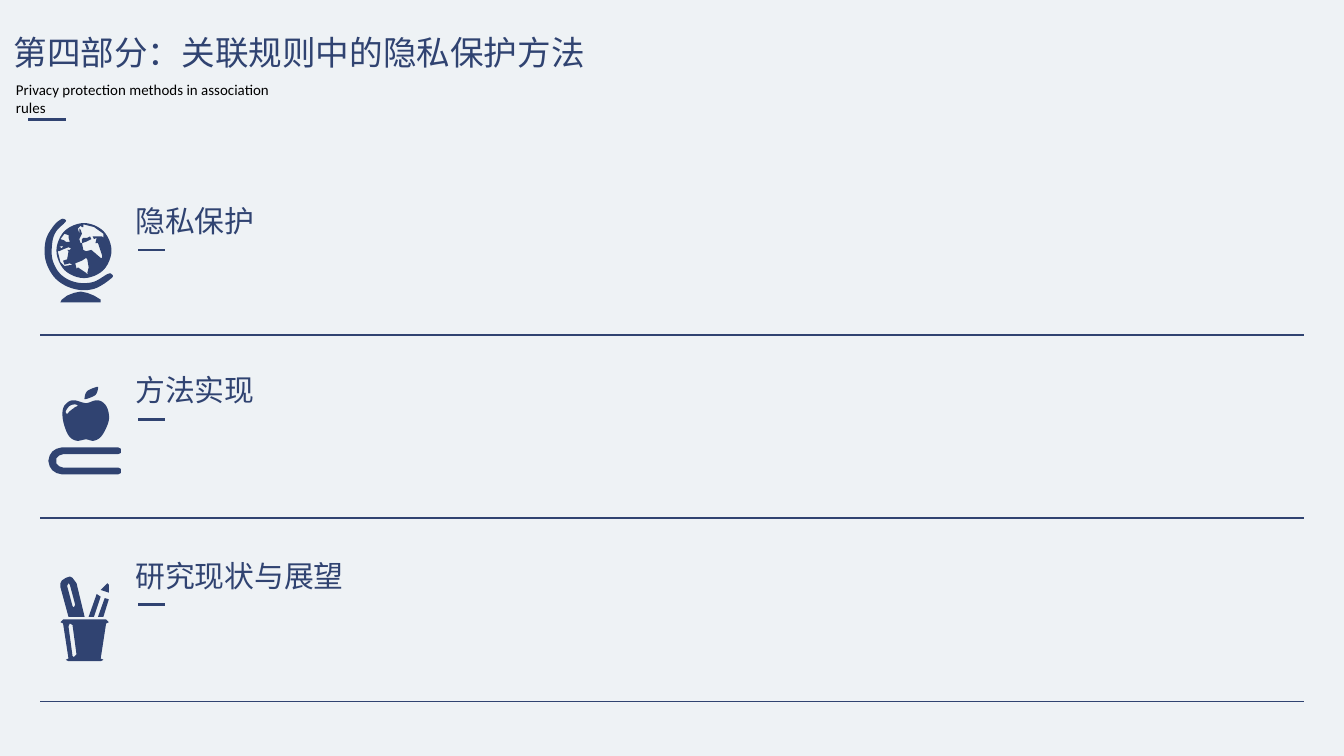
"""Build a slide that lists three topics on privacy in association rules."""
from lxml import etree
from pptx import Presentation
from pptx.dml.color import RGBColor
from pptx.enum.shapes import MSO_CONNECTOR
from pptx.enum.text import MSO_ANCHOR, MSO_AUTO_SIZE, PP_ALIGN
from pptx.oxml.ns import qn
from pptx.util import Inches, Pt

STRAIGHT = MSO_CONNECTOR.STRAIGHT
TOP = MSO_ANCHOR.TOP
NO_AUTOFIT = MSO_AUTO_SIZE.NONE
LEFT = PP_ALIGN.LEFT

NAVY = RGBColor(0x30, 0x43, 0x71)
BLACK = RGBColor(0x00, 0x00, 0x00)
PALE = RGBColor(0xEE, 0xF2, 0xF5)
CHINESE_FONT = "Noto Sans CJK SC"
LATIN_FONT = "Calibri"

WIDTH = 10
HEIGHT = WIDTH * 9 / 16
MARGIN = 0.03 * WIDTH
FIRST_DIVIDER, LAST_DIVIDER = 2.49, 5.22
LABEL_LEFT, LABEL_HEIGHT = 0.91, 0.37
DASH_LEFT, DASH_WIDTH, DASH_DROP = 1.03, 0.2, 0.4
ICON_UNIT = 0.01
CURVE_STEPS = 6

TITLE = "第四部分：关联规则中的隐私保护方法"
SUBTITLE = "Privacy protection methods in association rules"

# Each contour is (is_curved, points); inner contours become holes.
GLOBE = [
    (False, [(12, 63), (13, 61), (17, 58), (22, 56), (27, 55), (32, 56), (37, 58),
             (42, 61), (42, 63)]),
    (True, [(50, 24.5), (44, 39), (29.5, 45), (15, 39), (9, 24.5), (15, 10),
            (29.5, 4), (44, 10)]),
    (False, [(26, 12), (26, 8), (27, 9), (28, 12), (27, 14), (26, 16), (27, 19),
             (28, 19), (28, 16), (29, 15), (32, 15), (34, 14), (35, 16), (31, 18),
             (28, 19), (29, 24), (31, 25), (35, 24), (42, 30), (43, 30), (43, 28),
             (40, 19), (38, 19), (39, 15), (37, 16), (36, 14), (43, 14), (44, 15),
             (44, 12), (37, 7), (29, 5), (29, 7), (28, 7), (27, 6), (25, 8)]),
    (False, [(23, 34), (24, 38), (25, 37), (31, 41), (33, 43), (32, 41), (33, 37),
             (32, 31), (31, 30), (28, 32)]),
    (False, [(17, 24), (19, 24), (20, 23), (18, 22), (13, 24), (11, 25), (10, 25),
             (12, 33), (15, 36), (21, 35), (19, 34), (15, 35), (14, 32), (17, 31),
             (18, 25)]),
    (False, [(15, 12), (12, 16), (15, 17), (16, 18), (19, 18), (18, 15), (18, 13)]),
    (False, [(10, 22), (12, 22), (13, 23), (14, 21)]),
    (True, [(50, 42), (47, 42), (36, 48), (23, 48), (12, 42), (6, 31), (6, 18),
            (9, 10), (15, 4), (16, 2), (13, 1), (7, 6), (1, 17), (1, 32),
            (8.5, 45.5), (22, 53), (37, 53), (50, 45)]),
]
APPLE_ON_BOOK = [
    (False, [(54, 63), (54, 64), (52, 65), (10, 65), (6, 64), (3, 62), (1, 59),
             (0, 55), (1, 51), (3, 48), (6, 46), (10, 45), (52, 45), (54, 46),
             (54, 49), (52, 50), (11, 50), (8, 51), (6, 53), (6, 57), (8, 59),
             (11, 60), (52, 60), (54, 61)]),
    (True, [(28, 9), (27, 8), (29, 3), (36, 0), (37, 1), (35, 6)]),
    (True, [(44, 16), (40, 11), (35, 10), (28, 12), (20, 10), (15, 11), (11, 16),
            (11, 25), (15, 36), (21, 40), (28, 39), (34, 40), (40, 36), (45, 25)]),
    (True, [(20, 15), (16, 18), (14, 20), (13, 18), (16, 14), (20, 13), (22, 14)]),
]
PENCIL_CUP = [
    (False, [(33, 16), (36, 17), (32, 30), (28, 30)]),
    (False, [(36, 6), (35, 5), (30, 10), (36, 12)]),
    (False, [(25, 30), (30, 15), (27, 13), (21, 30)]),
    (False, [(0, 8), (0, 5), (1, 3), (4, 1), (7, 0), (9, 1), (12, 5), (18, 30), (6, 30)]),
    (False, [(5, 7), (9, 22), (10, 23), (11, 21), (7, 6), (6, 5)]),
    (False, [(34, 32), (2, 32), (0, 34), (2, 35), (6, 61), (4, 62), (6, 63),
             (30, 63), (32, 62), (30, 61), (34, 35), (36, 34)]),
    (False, [(10, 60), (9, 59), (6, 37), (7, 35), (9, 36), (12, 58)]),
]
TOPICS = [
    ("隐私保护", 1.46, 1.1, GLOBE, (0.33, 1.62)),
    ("方法实现", 2.72, 1.1, APPLE_ON_BOOK, (0.36, 2.88)),
    ("研究现状与展望", 4.1, 1.77, PENCIL_CUP, (0.45, 4.29)),
]
ROW_PITCH = (LAST_DIVIDER - FIRST_DIVIDER) / (len(TOPICS) - 1)


def write_text(shape, text, size, font, color, wrap=False):
    frame = shape.text_frame
    frame.text = text
    frame.word_wrap = wrap
    frame.auto_size = NO_AUTOFIT
    frame.vertical_anchor = TOP
    paragraph = frame.paragraphs[0]
    paragraph.alignment = LEFT
    run = paragraph.runs[0]
    run.font.size = Pt(size)
    run.font.name = font
    run.font.color.rgb = color
    etree.SubElement(run.font._element, qn("a:ea"), typeface=font)


def add_rule(slide, left, right, top, weight):
    rule = slide.shapes.add_connector(
        STRAIGHT, Inches(left), Inches(top), Inches(right), Inches(top))
    rule.line.color.rgb = NAVY
    rule.line.width = Pt(weight)
    etree.SubElement(rule._element.spPr, qn("a:effectLst"))


def spline(a, b, c, d, t):
    return (2 * b + (c - a) * t + (2 * a - 5 * b + 4 * c - d) * t ** 2
            + (3 * b - a - 3 * c + d) * t ** 3) / 2


def curve(points):
    count = len(points)
    smooth = []
    for index in range(count):
        corners = [points[(index + shift) % count] for shift in (-1, 0, 1, 2)]
        for step in range(CURVE_STEPS):
            smooth.append(tuple(spline(*axis, step / CURVE_STEPS) for axis in zip(*corners)))
    return smooth


def add_icon(slide, contours, origin):
    builder = None
    for is_curved, points in contours:
        outline = [tuple(Inches(start + value * ICON_UNIT) for start, value in zip(origin, point))
                   for point in (curve(points) if is_curved else points)]
        if builder is None:
            builder = slide.shapes.build_freeform(*outline[0])
        else:
            builder.move_to(*outline[0])
        builder.add_line_segments(outline[1:], close=True)
    icon = builder.convert_to_shape()
    icon.shadow.inherit = False
    icon.fill.solid()
    icon.fill.fore_color.rgb = NAVY
    icon.line.fill.background()


def main():
    presentation = Presentation()
    presentation.slide_width, presentation.slide_height = Inches(WIDTH), Inches(HEIGHT)
    slide = presentation.slides.add_slide(presentation.slide_layouts[5])
    slide.background.fill.solid()
    slide.background.fill.fore_color.rgb = PALE

    title = slide.shapes.title
    title.left, title.top = Inches(0), Inches(0.19)
    title.width, title.height = Inches(4.49), Inches(0.71)
    write_text(title, TITLE, 18, CHINESE_FONT, NAVY)
    subtitle = slide.shapes.add_textbox(Inches(0.02), Inches(0.55), Inches(2.32), Inches(0.37))
    write_text(subtitle, SUBTITLE, 8, LATIN_FONT, BLACK, wrap=True)
    add_rule(slide, 0.21, 0.49, 0.89, 1.5)

    for row, (label, top, width, contours, origin) in enumerate(TOPICS):
        add_rule(slide, MARGIN, WIDTH - MARGIN, FIRST_DIVIDER + row * ROW_PITCH, 1)
        box = slide.shapes.add_textbox(
            Inches(LABEL_LEFT), Inches(top), Inches(width), Inches(LABEL_HEIGHT))
        write_text(box, label, 16, CHINESE_FONT, NAVY)
        add_rule(slide, DASH_LEFT, DASH_LEFT + DASH_WIDTH, top + DASH_DROP, 1.5)
        add_icon(slide, contours, origin)

    presentation.save("out.pptx")


if __name__ == "__main__":
    main()
